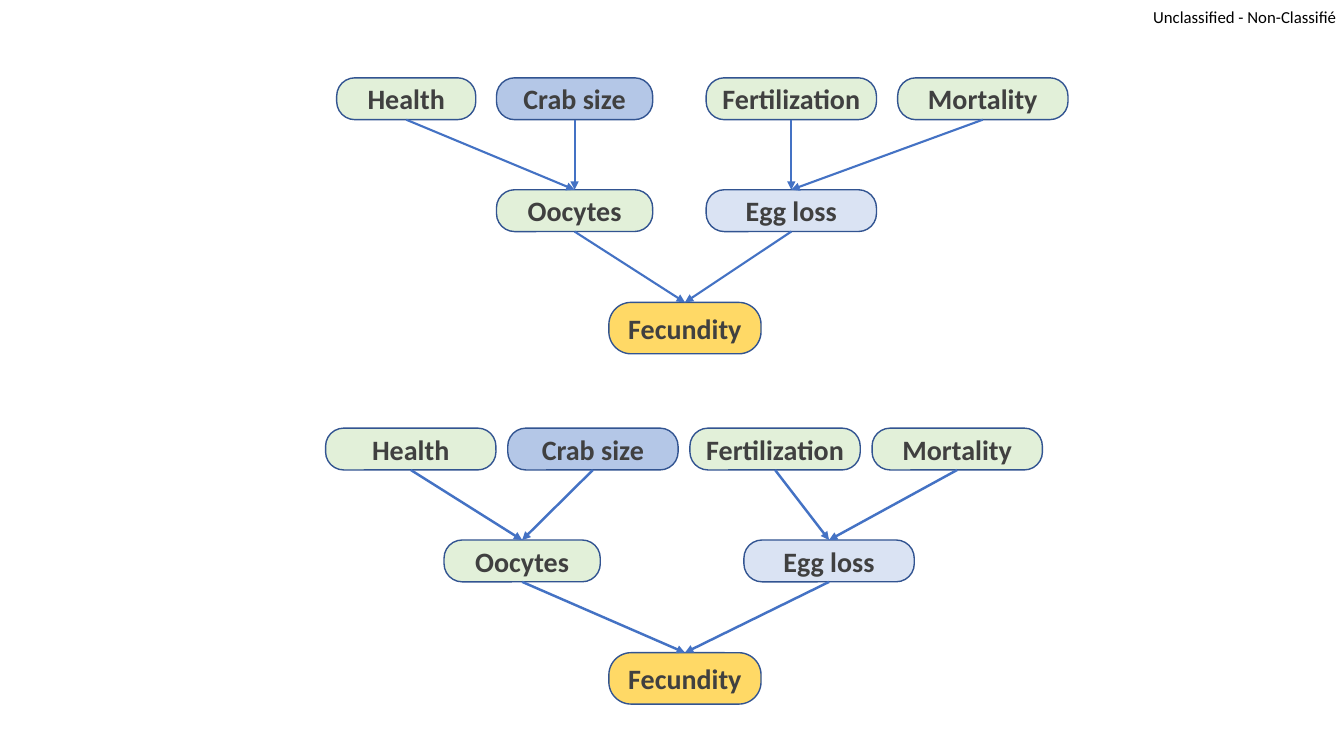
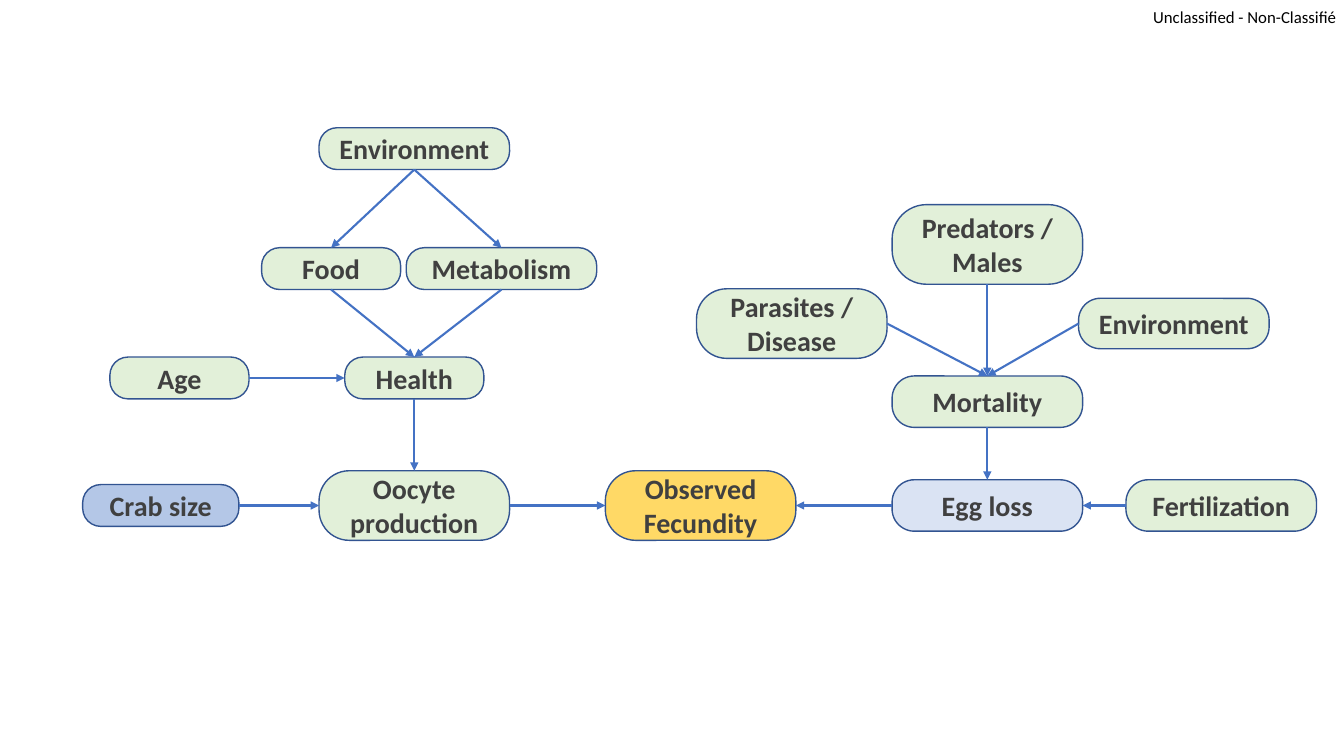
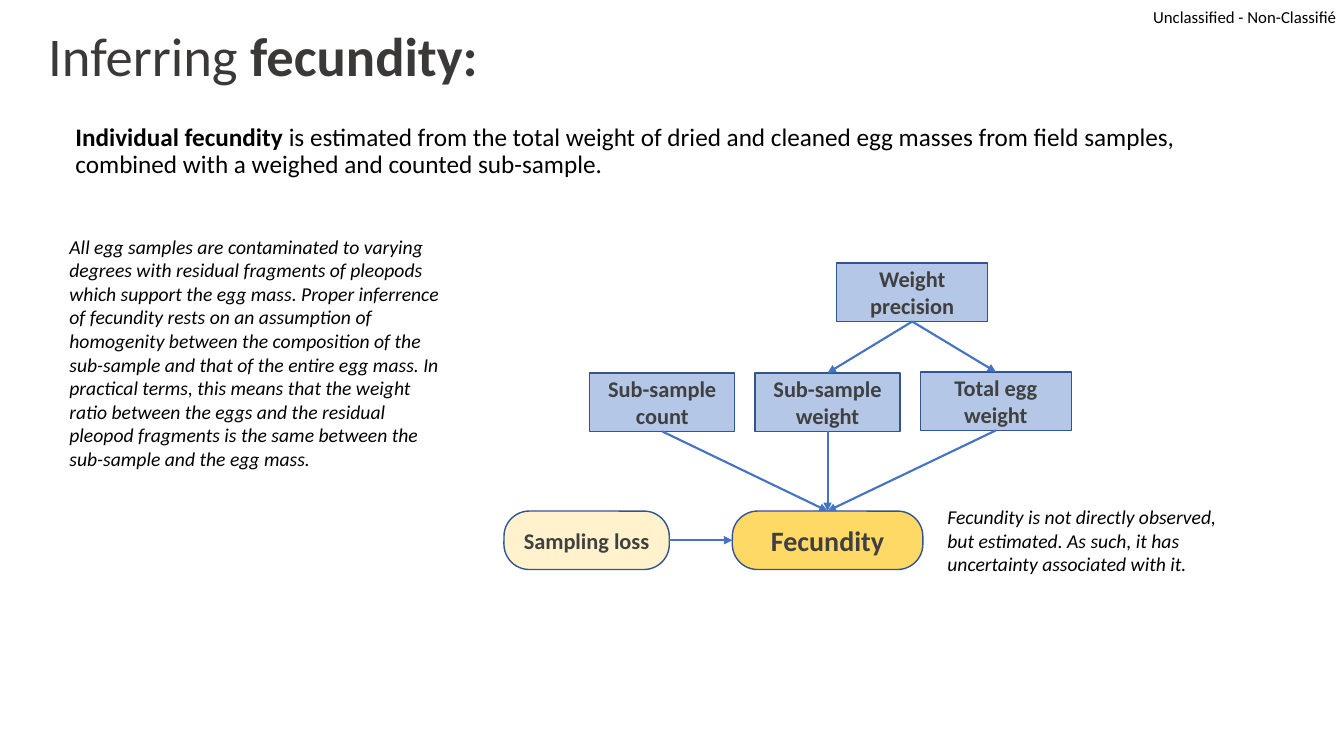
from dataclasses import dataclass

from lxml import etree
from pptx import Presentation
from pptx.dml.color import RGBColor
from pptx.enum.shapes import MSO_CONNECTOR, MSO_SHAPE
from pptx.enum.text import MSO_ANCHOR, PP_ALIGN
from pptx.oxml.ns import qn
from pptx.slide import Slide
from pptx.text.text import TextFrame
from pptx.util import Emu, Inches, Pt

STRAIGHT = MSO_CONNECTOR.STRAIGHT
RECT, ROUNDED = MSO_SHAPE.RECTANGLE, MSO_SHAPE.ROUNDED_RECTANGLE
TOP_ANCHOR, MIDDLE = MSO_ANCHOR.TOP, MSO_ANCHOR.MIDDLE
LEFT_ALIGN, CENTER = PP_ALIGN.LEFT, PP_ALIGN.CENTER
TOP, LEFT, BOTTOM, RIGHT = range(4)  # connection sites

# Grid: square cells, columns across and rows down
CELL = Inches(0.1)
COLS, ROWS = 133.33, 75
SLIM, MEDIUM, TALL = 4.15, 5.1, 6.9  # box heights in rows
NARROW, SIZE_WIDTH, LEAF_WIDTH, WIDE = 13.8, 15.5, 16.9, 18.9  # in columns
ROUNDING = 0.433

FONT = "Calibri"
COLORS = {
    "black": "000000",
    "title": "3B3838",
    "label": "404040",
    "outline": "325491",
    "arrow": "4472C4",
    "process": "E2F0D9",
    "measured": "B4C7E7",
    "loss": "DAE3F3",
    "outcome": "FFD966",
    "sampling": "FFF2CC",
}


@dataclass
class Node:
    """A box of a diagram, placed by its centre in grid cells."""
    key: str
    x: float
    y: float
    width: float = WIDE
    height: float = SLIM
    fill: str = "process"
    label: str = ""  # the key when empty
    size: int = 20
    kind: MSO_SHAPE = ROUNDED


@dataclass
class Link:
    """An arrow between two boxes."""
    start: str
    end: str
    exit: int = BOTTOM
    entry: int = TOP


@dataclass
class Run:
    text: str
    bold: bool = False


def grid(cells: float) -> Emu:
    return Emu(round(cells * CELL))


def color(name: str) -> RGBColor:
    return RGBColor.from_string(COLORS[name])


def write(frame: TextFrame, *runs: Run, size: float, ink: str = "black",
          italic: bool = False, align: PP_ALIGN = LEFT_ALIGN,
          anchor: MSO_ANCHOR = TOP_ANCHOR, spacing: float = 1.0) -> None:
    frame.word_wrap = True
    frame.vertical_anchor = anchor
    paragraph = frame.paragraphs[0]
    paragraph.alignment = align
    paragraph.line_spacing = spacing
    for part in runs:
        run = paragraph.add_run()
        run.text = part.text
        font = run.font
        font.name, font.size = FONT, Pt(size)
        font.bold, font.italic = part.bold, italic
        font.color.rgb = color(ink)


def text_area(slide: Slide, left: float, top: float, width: float,
              height: float, inset: bool = True) -> TextFrame:
    frame = slide.shapes.add_textbox(*map(grid, (left, top, width, height))).text_frame
    if not inset:
        frame.margin_left = frame.margin_right = 0
        frame.margin_top = frame.margin_bottom = 0
    return frame


def add_node(slide: Slide, node: Node):
    left, top = node.x - node.width / 2, node.y - node.height / 2
    box = slide.shapes.add_shape(
        node.kind, *map(grid, (left, top, node.width, node.height)))
    if node.kind == ROUNDED:
        box.adjustments[0] = ROUNDING
    box.shadow.inherit = False
    box.fill.solid()
    box.fill.fore_color.rgb = color(node.fill)
    box.line.color.rgb = color("outline")
    box.line.width = Pt(1)
    write(box.text_frame, Run(node.label or node.key, bold=True), size=node.size,
          ink="label", align=CENTER, anchor=MIDDLE)
    return box


def add_diagram(slide: Slide, nodes: list[Node], links: list[Link],
                weight: float = 1.5) -> None:
    boxes = {node.key: add_node(slide, node) for node in nodes}
    for link in links:
        arrow = slide.shapes.add_connector(STRAIGHT, 0, 0, 0, 0)
        arrow.begin_connect(boxes[link.start], link.exit)
        arrow.end_connect(boxes[link.end], link.entry)
        arrow.line.color.rgb = color("arrow")
        arrow.line.width = Pt(weight)
        etree.SubElement(arrow.line._get_or_add_ln(), qn("a:tailEnd"), type="triangle")
        etree.SubElement(arrow._element.spPr, qn("a:effectLst"))


def new_slide(deck) -> Slide:
    """Blank slide with the classification marking."""
    slide = deck.slides.add_slide(deck.slide_layouts[6])
    write(text_area(slide, 114.4, 0.7, 18.6, 2, inset=False),
          Run("Unclassified - Non-Classifié"), size=12)
    return slide


def fecundity_tree(slide: Slide, shift: float, leaf_x: list[float],
                   leaf_widths: list[float], oocytes_x: float, loss_x: float,
                   weight: float) -> None:
    """Four factors, two intermediate steps and one outcome."""
    factors = ["Health", "Crab size", "Fertilization", "Mortality"]
    nodes = [
        Node(name, x, 9.8 + shift, width,
             fill="measured" if name == "Crab size" else "process")
        for name, x, width in zip(factors, leaf_x, leaf_widths)
    ]
    nodes += [
        Node("Oocytes", oocytes_x, 20.9 + shift, SIZE_WIDTH),
        Node("Egg loss", loss_x, 20.9 + shift, LEAF_WIDTH, fill="loss"),
        Node("Fecundity", 67.95, 32.55 + shift, 15.1, MEDIUM, "outcome"),
    ]
    links = [Link(name, "Oocytes") for name in factors[:2]]
    links += [Link(name, "Egg loss") for name in factors[2:]]
    links += [Link(name, "Fecundity") for name in ("Oocytes", "Egg loss")]
    add_diagram(slide, nodes, links, weight)


def simple_trees(deck) -> None:
    slide = new_slide(deck)
    fecundity_tree(slide, 0, [40.3, 57, 78.5, 97.5],
                   [NARROW, SIZE_WIDTH, LEAF_WIDTH, LEAF_WIDTH], 57, 78.5, 1.5)
    even_columns = [40.75 + 18.07 * i for i in range(4)]
    fecundity_tree(slide, 34.75, even_columns, [LEAF_WIDTH] * 4, 51.8, 82.25, 1.75)


def full_network(deck) -> None:
    slide = new_slide(deck)
    health_x, loss_x = 41.1, 97.95
    health_y, outcome_y, food_y, threat_y = 37.5, 50.15, 26.65, 32.1
    nodes = [
        # Oocyte side
        Node("Environment", health_x, 14.75),
        Node("Food", 32.85, food_y, NARROW),
        Node("Metabolism", 49.75, food_y),
        Node("Age", 17.8, health_y, NARROW),
        Node("Health", health_x, health_y, NARROW),
        Node("Crab size", 15.95, outcome_y, SIZE_WIDTH, fill="measured"),
        Node("Oocyte production", health_x, outcome_y, height=TALL),
        Node("Observed Fecundity", 69.5, outcome_y, height=TALL, fill="outcome"),
        # Egg loss side
        Node("Predators / Males", loss_x, 24.25, height=7.9),
        Node("Parasites / Disease", 78.55, threat_y, height=TALL),
        Node("Egg environment", 116.45, threat_y, height=5, label="Environment"),
        Node("Mortality", loss_x, 39.85, height=MEDIUM),
        Node("Egg loss", loss_x, outcome_y, height=MEDIUM, fill="loss"),
        Node("Fertilization", 121.15, outcome_y, height=MEDIUM),
    ]
    links = [
        Link("Environment", "Food"),
        Link("Environment", "Metabolism"),
        Link("Food", "Health"),
        Link("Metabolism", "Health"),
        Link("Age", "Health", RIGHT, LEFT),
        Link("Health", "Oocyte production"),
        Link("Crab size", "Oocyte production", RIGHT, LEFT),
        Link("Oocyte production", "Observed Fecundity", RIGHT, LEFT),
        Link("Predators / Males", "Mortality"),
        Link("Parasites / Disease", "Mortality", RIGHT),
        Link("Egg environment", "Mortality", LEFT),
        Link("Mortality", "Egg loss"),
        Link("Fertilization", "Egg loss", LEFT, RIGHT),
        Link("Egg loss", "Observed Fecundity", LEFT, RIGHT),
    ]
    add_diagram(slide, nodes, links)


def inferring_fecundity(deck) -> None:
    slide = new_slide(deck)
    # Title and introduction
    write(text_area(slide, 3.8, 2.1, 115, 7.5),
          Run("Inferring"), Run(" fecundity:", bold=True),
          size=39, ink="title", anchor=MIDDLE, spacing=0.9)
    write(text_area(slide, 6.5, 11.9, 120.8, 7.2),
          Run("Individual fecundity ", bold=True),
          Run("is estimated from the total weight of dried and cleaned egg masses "
              "from field samples, combined with a weighed and counted sub-sample."),
          size=18, spacing=0.9)

    # Measurements leading to the estimate
    center_x, measure_y, outcome_y, height = 82.1, 39.9, 53.6, 5.8
    measures = [("Weight precision", 90.5, 29, 15),
                ("Sub-sample count", 65.7, measure_y, 14.4),
                ("Sub-sample weight", center_x, measure_y, 14.4),
                ("Total egg weight", 98.8, measure_y - 0.1, 15)]
    nodes = [Node(name, x, y, width, height, "measured", size=16, kind=RECT)
             for name, x, y, width in measures]
    nodes += [
        Node("Sampling loss", 58.2, outcome_y, 16.4, height, "sampling", size=16),
        Node("Fecundity", center_x, outcome_y, WIDE, height, "outcome"),
    ]
    links = [Link(name, "Fecundity") for name, *_ in measures[1:]]
    links += [Link("Weight precision", name) for name, *_ in measures[2:]]
    links.append(Link("Sampling loss", "Fecundity", RIGHT, LEFT))
    add_diagram(slide, nodes, links)

    # Side notes
    write(text_area(slide, 93, 49.6, 29.9, 8.1),
          Run("Fecundity is not directly observed, but estimated. As such, it has "
              "uncertainty associated with it."), size=14, italic=True)
    write(text_area(slide, 5.9, 22.8, 39.2, 24.6),
          Run("All egg samples are contaminated to varying degrees with residual "
              "fragments of pleopods which support the egg mass. Proper inferrence of "
              "fecundity rests on an assumption of homogenity between the composition "
              "of the sub-sample and that of the entire egg mass. In practical terms, "
              "this means that the weight ratio between the eggs and the residual "
              "pleopod fragments is the same between the sub-sample and the egg mass."),
          size=14, italic=True)


def main() -> None:
    deck = Presentation()
    deck.slide_width, deck.slide_height = grid(COLS), grid(ROWS)
    simple_trees(deck)
    full_network(deck)
    inferring_fecundity(deck)
    deck.save("out.pptx")


if __name__ == "__main__":
    main()
